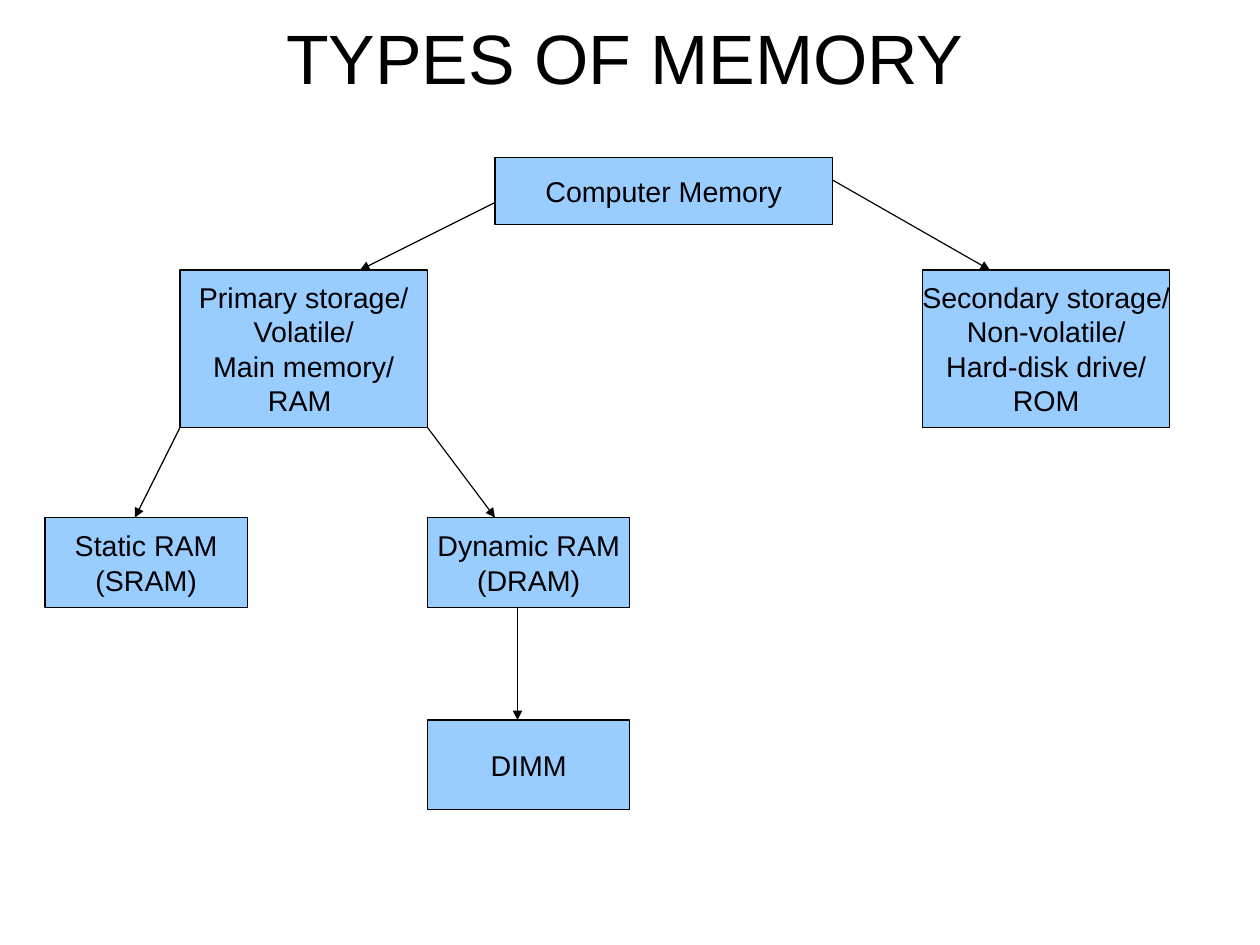
"""Build the slide with the tree of computer memory types."""
from lxml import etree
from pptx import Presentation
from pptx.dml.color import RGBColor
from pptx.enum import shapes, text
from pptx.oxml.ns import qn
from pptx.util import Cm, Pt

COLOURS = {"ink": "000000", "box": "99CCFF"}
INK = RGBColor.from_string(COLOURS["ink"])
BOX = RGBColor.from_string(COLOURS["box"])


def write(holder, words, size, frame_format):
    frame = holder.text_frame
    frame.text = words
    for name, value in frame_format.items():
        setattr(frame, name, value)
    for paragraph in frame.paragraphs:
        paragraph.alignment = text.PP_ALIGN.CENTER
        for name, value in {"name": "Arial", "size": Pt(size)}.items():
            setattr(paragraph.font, name, value)
        paragraph.font.color.rgb = INK


def outline(line):
    line.color.rgb = INK
    line.width = Pt(0.75)


deck = Presentation()
deck.slide_width, deck.slide_height = Cm(28), Cm(21)
slide = deck.slides.add_slide(deck.slide_layouts[5])

heading = slide.shapes.title
place = {"left": 1.5, "top": 0, "width": 25.2, "height": 2.5}
for side, length in place.items():
    setattr(heading, side, Cm(length))
middle = {
    "vertical_anchor": text.MSO_ANCHOR.MIDDLE,
    "auto_size": text.MSO_AUTO_SIZE.NONE,
}
margins = ("margin_left", "margin_top", "margin_right", "margin_bottom")
write(heading, "TYPES OF MEMORY ", 44, {**middle, **dict.fromkeys(margins, 0)})

memories = [
    ("Computer Memory", 11, 3.5, 7.5, 1.5),
    ("Primary storage/\nVolatile/\nMain memory/\nRAM ", 4, 6, 5.5, 3.5),
    ("Secondary storage/\nNon-volatile/\nHard-disk drive/\nROM", 20.5, 6, 5.5, 3.5),
    ("Static RAM\n(SRAM)", 1, 11.5, 4.5, 2),
    ("Dynamic RAM\n(DRAM)", 9.5, 11.5, 4.5, 2),
    ("DIMM", 9.5, 16, 4.5, 2),
]
for words, *bounds in memories:
    memory = slide.shapes.add_shape(
        shapes.MSO_SHAPE.RECTANGLE, *map(Cm, bounds))
    memory.shadow.inherit = False
    memory.fill.solid()
    memory.fill.fore_color.rgb = BOX
    outline(memory.line)
    write(memory, words, 18, {**middle, "word_wrap": False})

branches = [
    (11, 4.5, 8, 6),
    (18.5, 4, 22, 6),
    (4, 9.5, 3, 11.5),
    (9.5, 9.5, 11, 11.5),
    (11.5, 13.5, 11.5, 16),
]
for ends in branches:
    branch = slide.shapes.add_connector(
        shapes.MSO_CONNECTOR.STRAIGHT, *map(Cm, ends))
    outline(branch.line)
    properties = branch._element.spPr
    etree.SubElement(properties.find(qn("a:ln")), qn("a:tailEnd"), type="triangle")
    etree.SubElement(properties, qn("a:effectLst"))

deck.save("out.pptx")
